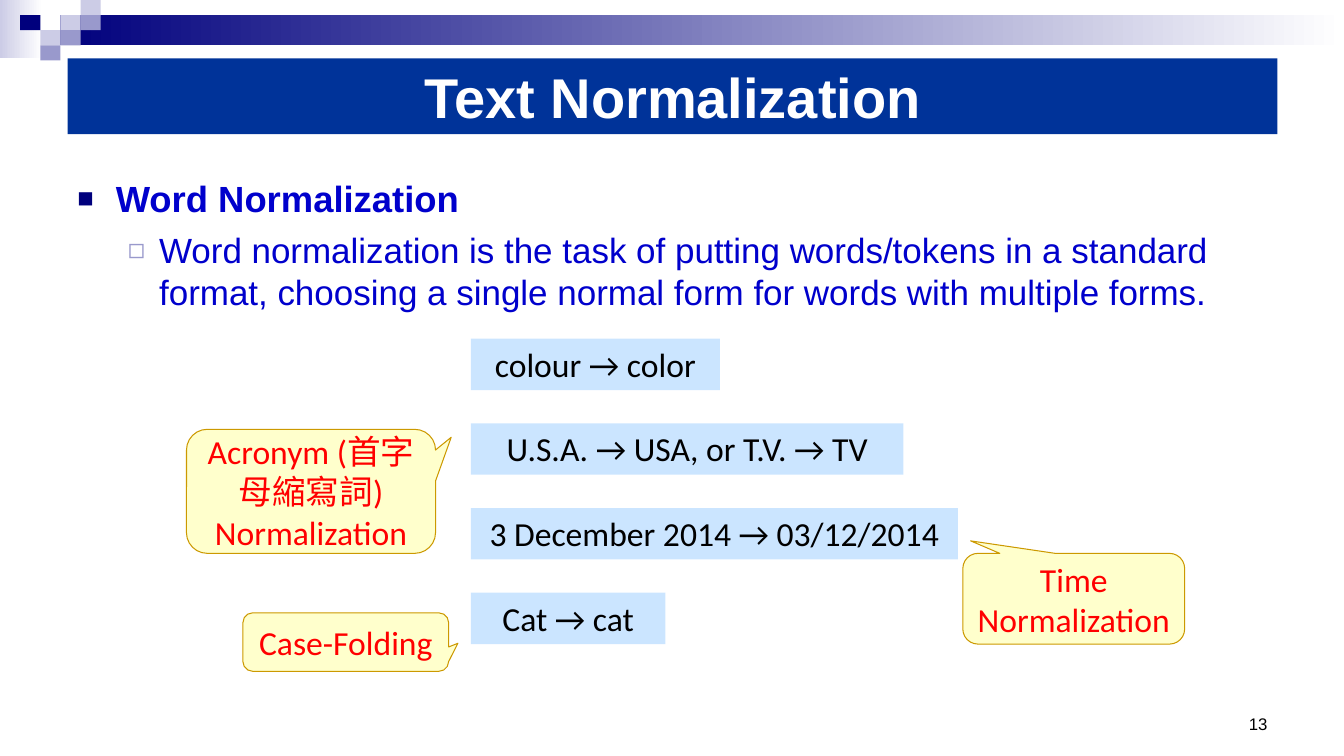
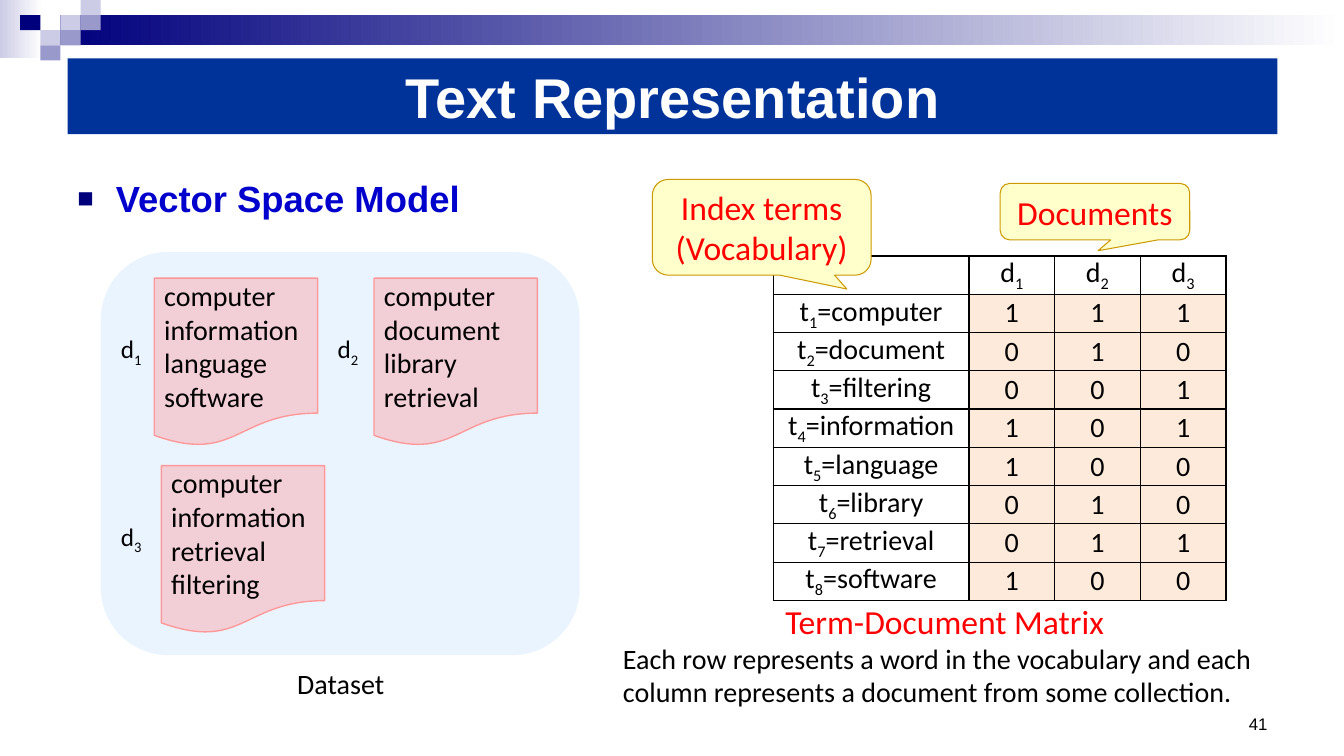
from dataclasses import dataclass

from lxml.etree import SubElement
from pptx import Presentation
from pptx.dml.color import RGBColor
from pptx.enum.shapes import MSO_SHAPE as Shape
from pptx.enum.text import MSO_ANCHOR as Anchor, MSO_AUTO_SIZE as Fit, PP_ALIGN as Align
from pptx.oxml.ns import qn
from pptx.util import Inches, Pt

# Colours
WHITE, BLACK = RGBColor(255, 255, 255), RGBColor(0, 0, 0)
NAVY, LILAC, PALE = (RGBColor.from_string(c) for c in ("00007D", "9999CC", "CCCCE6"))
TITLE_BLUE = RGBColor(0x00, 0x33, 0x99)
BODY_BLUE = RGBColor(0x00, 0x00, 0xCC)
SKY = RGBColor(0x99, 0xCC, 0xFF)
PINK = RGBColor(0xFF, 0x99, 0x99)
CREAM = RGBColor(0xFF, 0xFF, 0xCC)
GOLD = RGBColor(0xCC, 0x99, 0x00)
RED = RGBColor(0xFF, 0x00, 0x00)
PEACH = RGBColor(0xFD, 0xEA, 0xDA)

# Text styles
TITLE = dict(name="Arial", size=Pt(40), bold=True, color=WHITE)
HEADING = dict(name="Arial", size=Pt(26), bold=True, color=BODY_BLUE)
DETAIL = dict(name="Arial", size=Pt(25), bold=False, color=BODY_BLUE)
NUMBER = dict(name="Arial", size=Pt(12), color=BLACK)
EXAMPLE = dict(name="Calibri", size=Pt(24), color=BLACK)
NOTE = dict(name="Calibri", size=Pt(24), color=RED)
PLAIN = dict(name="Calibri", size=Pt(20), color=BLACK)
LABEL = dict(name="Calibri", size=Pt(18), color=BLACK)

# Run markers
SUB, CJK = "sub", "cjk"


@dataclass(frozen=True)
class Box:
    """A region measured in columns and rows of a one-inch grid."""
    left: float
    top: float
    width: float
    height: float

    def inner(self, x, y, width, height):
        return Box(self.left + x, self.top + y, width, height)

    def emu(self):
        return [Inches(v) for v in (self.left, self.top, self.width, self.height)]


SLIDE = Box(0, 0, 13.33, 7.5)
TITLE_BOX = SLIDE.inner(0.67, 0.58, 12, 0.75)
BODY_BOX = SLIDE.inner(0.67, 1.7, 12, 4.95)
NUMBER_BOX = SLIDE.inner(11.11, 6.83, 1.56, 0.5)


# Text helpers
def add_runs(p, runs, style, align=Align.LEFT):
    """Runs are a string or a list of strings and (string, marker) pairs."""
    p.alignment = align
    for item in [runs] if isinstance(runs, str) else runs:
        text, marker = (item, None) if isinstance(item, str) else item
        r = p.add_run()
        r.text = text
        for key, value in style.items():
            if key == "color":
                r.font.color.rgb = value
            else:
                setattr(r.font, key, value)
        r_pr = r._r.get_or_add_rPr()
        if marker == SUB:
            r_pr.set("baseline", "-25000")
        elif marker == CJK:
            SubElement(r_pr, qn("a:ea")).set("typeface", "Noto Sans CJK SC")


def next_paragraph(tf, index):
    return tf.add_paragraph() if index else tf.paragraphs[0]


def set_frame(tf, **values):
    for key, value in values.items():
        setattr(tf, key, value)


def add_text(slide, box, runs, style, align=Align.LEFT, anchor=Anchor.TOP):
    tf = slide.shapes.add_textbox(*box.emu()).text_frame
    set_frame(tf, word_wrap=True, vertical_anchor=anchor)
    add_runs(tf.paragraphs[0], runs, style, align)
    return tf


def indexed(letter, number, tail=""):
    return [letter, (str(number), SUB)] + ([tail] if tail else [])


# Shape helpers
def add_shape(slide, kind, box, fill, opacity=100, line=None, line_width=0.75):
    s = slide.shapes.add_shape(kind, *box.emu())
    s.shadow.inherit = False
    s.fill.solid()
    s.fill.fore_color.rgb = fill
    if opacity < 100:
        color = s.element.spPr.find(qn("a:solidFill")).find(qn("a:srgbClr"))
        SubElement(color, qn("a:alpha")).set("val", str(opacity * 1000))
    if line is None:
        s.line.fill.background()
    else:
        s.line.color.rgb = line
        s.line.width = Pt(line_width)
    return s


def add_callout(slide, box, runs, tip):
    s = add_shape(slide, Shape.ROUNDED_RECTANGULAR_CALLOUT, box, CREAM, line=GOLD)
    for i, value in enumerate((*tip, 0.167)):
        s.adjustments[i] = value
    set_frame(s.text_frame, word_wrap=True, vertical_anchor=Anchor.MIDDLE)
    add_runs(s.text_frame.paragraphs[0], runs, NOTE, Align.CENTER)


# Shared elements of the slides
def decorate_layout(slide):
    """Draw the top band and its mosaic, then move them to the slide's layout."""
    band = []
    for box, start in ((SLIDE.inner(0, 0, 0.42, 0.58), PALE),
                       (SLIDE.inner(0.6, 0.15, 12.73, 0.3), NAVY)):
        s = add_shape(slide, Shape.RECTANGLE, box, start)
        s.fill.gradient()
        s.fill.gradient_angle = 0
        for stop, color in zip(s.fill.gradient_stops, (start, WHITE)):
            stop.color.rgb = color
        band.append(s)
    tiles = ((3, 1, PALE), (4, 0, PALE), (4, 1, LILAC), (2, 2, PALE),
             (1, 1, NAVY), (3, 2, LILAC), (2, 3, LILAC))
    for col, row, color in tiles:
        tile = SLIDE.inner(col * 0.2, row * 0.15, 0.2, 0.15)
        band.append(add_shape(slide, Shape.RECTANGLE, tile, color))
    for s in band:
        slide.slide_layout.shapes.element.append(s.element)


def add_slide(prs, title, number):
    slide = prs.slides.add_slide(prs.slide_layouts[5])
    ph = slide.shapes.title
    ph.left, ph.top, ph.width, ph.height = TITLE_BOX.emu()
    ph.fill.solid()
    ph.fill.fore_color.rgb = TITLE_BLUE
    set_frame(ph.text_frame, auto_size=Fit.NONE, vertical_anchor=Anchor.MIDDLE)
    add_runs(ph.text_frame.paragraphs[0], title, TITLE, Align.CENTER)
    add_text(slide, NUMBER_BOX, str(number), NUMBER, Align.RIGHT, Anchor.BOTTOM)
    return slide


def add_bullets(slide, box, heading, detail=None):
    tf = slide.shapes.add_textbox(*box.emu()).text_frame
    tf.word_wrap = True
    levels = ((heading, HEADING, "■", NAVY, 75, 0.38, 0.38),
              (detail, DETAIL, "◻", LILAC, 80, 0.81, 0.31))
    for i, (text, style, char, color, size, margin, hanging) in enumerate(levels):
        if text is None:
            continue
        p = next_paragraph(tf, i)
        p.level = i
        p_pr = p._p.get_or_add_pPr()
        p_pr.set("marL", str(Inches(margin)))
        p_pr.set("indent", str(-Inches(hanging)))
        bullet_color = SubElement(p_pr, qn("a:buClr"))
        SubElement(bullet_color, qn("a:srgbClr")).set("val", str(color))
        SubElement(p_pr, qn("a:buSzPct")).set("val", str(size * 1000))
        SubElement(p_pr, qn("a:buFont")).set("typeface", "Arial")
        SubElement(p_pr, qn("a:buChar")).set("char", char)
        if i:
            p.space_before = Pt(6)
        add_runs(p, text, style)


# Word normalization examples
def add_examples(slide, box):
    examples = (("colour → color", 2.47), ("U.S.A. → USA, or T.V. → TV", 4.29),
                ("3 December 2014 → 03/12/2014", 4.83), ("Cat → cat", 1.93))
    for i, (text, width) in enumerate(examples):
        s = add_shape(slide, Shape.RECTANGLE, box.inner(2.82, i * 0.84, width, 0.51), SKY, 50)
        set_frame(s.text_frame, word_wrap=True, vertical_anchor=Anchor.TOP)
        add_runs(s.text_frame.paragraphs[0], text, EXAMPLE, Align.CENTER)
    acronym = ["Acronym (", ("首字母縮寫詞", CJK), ") Normalization"]
    add_callout(slide, box.inner(0.56, 2.72, 2.04, 0.58), "Case-Folding", (0.545, 0.021))
    add_callout(slide, box.inner(0, 0.9, 2.47, 1.23), acronym, (0.563, -0.436))
    add_callout(slide, box.inner(7.7, 2.13, 2.2, 0.9), "Time Normalization", (-0.465, -0.638))


# Documents of the data set
def add_dataset(slide, box):
    add_text(slide, box.inner(1.76, 4.06, 1.24, 0.44), "Dataset", PLAIN, Align.CENTER)
    add_shape(slide, Shape.ROUNDED_RECTANGLE, box, SKY, 20)
    documents = ((0.1, 0.53, 0.26, "computer information language software"),
                 (2.25, 2.71, 0.26, "computer document library retrieval"),
                 (0.1, 0.6, 2.12, "computer information retrieval filtering"))
    for number, (label_x, x, y, words) in enumerate(documents, 1):
        add_text(slide, box.inner(label_x, y + 0.5, 0.5, 0.4), indexed("d", number), LABEL)
        s = add_shape(slide, Shape.FLOWCHART_DOCUMENT, box.inner(x, y, 1.62, 1.67),
                      PINK, 40, PINK, 1)
        set_frame(s.text_frame, word_wrap=False, vertical_anchor=Anchor.MIDDLE)
        for i, word in enumerate(words.split()):
            add_runs(next_paragraph(s.text_frame, i), word, PLAIN)


# Term-document matrix
def format_cell(cell, runs, fill):
    set_frame(cell, margin_left=0, margin_right=0, margin_top=0, margin_bottom=0,
              vertical_anchor=Anchor.MIDDLE)
    if runs:
        add_runs(cell.text_frame.paragraphs[0], runs, PLAIN, Align.CENTER)
    tc_pr = cell._tc.get_or_add_tcPr()
    for side in ("a:lnL", "a:lnR", "a:lnT", "a:lnB"):
        border = SubElement(tc_pr, qn(side), w=str(Pt(1)))
        color = SubElement(border, qn("a:solidFill"))
        SubElement(color, qn("a:srgbClr")).set("val", str(BLACK))
    cell.fill.solid()
    cell.fill.fore_color.rgb = fill


def add_matrix(slide, box):
    counts = {"computer": "111", "document": "010", "filtering": "001",
              "information": "101", "language": "100", "library": "010",
              "retrieval": "011", "software": "100"}
    rows = [[""] + [indexed("d", n) for n in (1, 2, 3)]]
    rows += [[indexed("t", n, "=" + term), *values]
             for n, (term, values) in enumerate(counts.items(), 1)]
    table = slide.shapes.add_table(len(rows), 4, *box.emu()).table
    table.first_row = table.horz_banding = False
    for column, width in zip(table.columns, (1.94, 0.85, 0.85, 0.85)):
        column.width = Inches(width)
    for i, row in enumerate(rows):
        table.rows[i].height = Inches(box.height / len(rows))
        for j, runs in enumerate(row):
            format_cell(table.cell(i, j), runs, PEACH if i and j else WHITE)
    add_callout(slide, box.inner(2.25, -0.72, 1.88, 0.56), "Documents", (0.016, 0.693))
    add_callout(slide, box.inner(-1.2, -0.76, 2.17, 0.95), "Index terms (Vocabulary)",
                (0.389, 0.645))
    tf = add_text(slide, box.inner(-1.59, 3.37, 6.58, 1.18), "Term-Document Matrix",
                  NOTE, Align.CENTER)
    add_runs(tf.add_paragraph(), "Each row represents a word in the vocabulary and each "
             "column represents a document from some collection.", PLAIN)


def main():
    prs = Presentation()
    prs.slide_width, prs.slide_height = SLIDE.emu()[2:]

    slide = add_slide(prs, "Text Normalization", 13)
    decorate_layout(slide)
    add_bullets(slide, BODY_BOX, "Word Normalization",
                "Word normalization is the task of putting words/tokens in a standard "
                "format, choosing a single normal form for words with multiple forms.")
    add_examples(slide, SLIDE.inner(1.85, 3.36, 9.9, 3.3))

    slide = add_slide(prs, "Text Representation", 41)
    add_bullets(slide, BODY_BOX, "Vector Space Model")
    add_matrix(slide, SLIDE.inner(7.67, 2.54, 4.5, 3.23))
    add_dataset(slide, SLIDE.inner(1, 2.5, 4.75, 4))
    prs.save("out.pptx")


if __name__ == "__main__":
    main()
